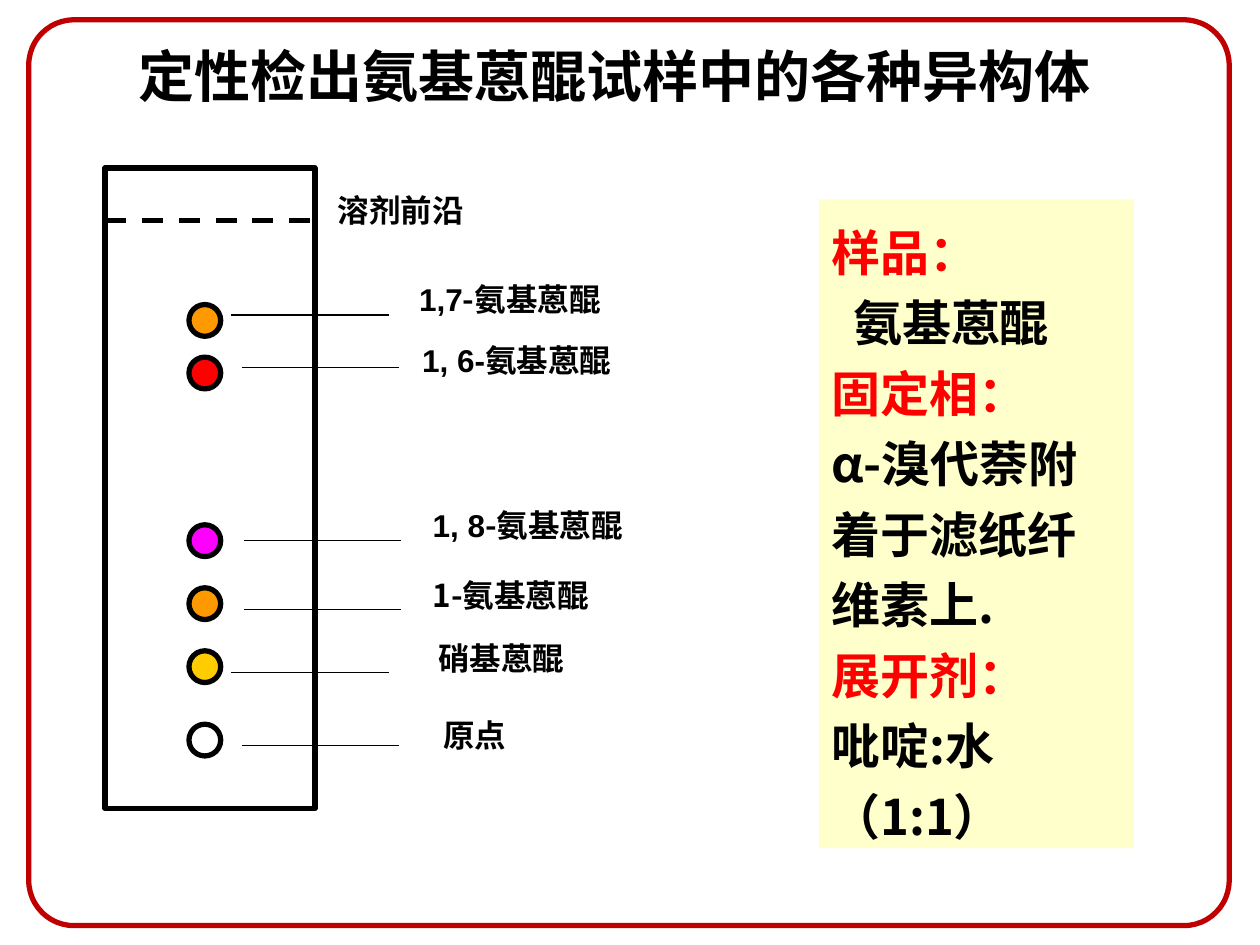
from pptx import Presentation
from pptx.dml.color import RGBColor
from pptx.enum.dml import MSO_LINE
from pptx.enum.shapes import MSO_CONNECTOR, MSO_SHAPE
from pptx.enum.text import MSO_ANCHOR, MSO_AUTO_SIZE, PP_ALIGN
from pptx.oxml.ns import qn
from pptx.util import Cm, Pt
from lxml import etree

RECT, OVAL, ROUND = MSO_SHAPE.RECTANGLE, MSO_SHAPE.OVAL, MSO_SHAPE.ROUNDED_RECTANGLE
STRAIGHT, DASH = MSO_CONNECTOR.STRAIGHT, MSO_LINE.DASH
TOP, LEFT, FIXED = MSO_ANCHOR.TOP, PP_ALIGN.LEFT, MSO_AUTO_SIZE.NONE

HEX = {"black": "000000", "white": "FFFFFF", "frame": "C00000", "red": "FF0000",
       "cream": "FFFFCC", "orange": "FF9900", "pink": "FF00FF", "gold": "FFCC00"}
LATIN, HAN = "Arial", "Noto Sans CJK SC"

SPOTS = [
    (6.14, "orange", 4.66, 6.35, 8.2, 5.61, [("1,7", LATIN), ("-氨基蒽醌", HAN)]),
    (7.2, "red", 4.87, 7.41, 8.26, 6.83, [("1, 6-", LATIN), ("氨基蒽醌", HAN)]),
    (10.58, "pink", 4.91, 10.9, 8.47, 10.16, [("1, 8", LATIN), ("-氨基蒽醌", HAN)]),
    (11.85, "orange", 4.91, 12.28, 8.47, 11.58, [("1-氨基蒽醌", HAN)]),
    (13.12, "gold", 4.66, 13.55, 8.59, 12.85, [("硝基蒽醌", HAN)]),
    (14.6, "white", 4.87, 15.03, 8.69, 14.4, [("原点", LATIN)]),
]
NOTES = [("样品：", "red", 0), ("氨基蒽醌", "black", 0.44), ("固定相：", "red", 0),
         ("α-溴代萘附着于滤纸纤维素上.", "black", 0), ("展开剂：", "red", 0),
         ("吡啶:水（1:1）", "black", 0)]


def color(name):
    return RGBColor.from_string(HEX[name])


def apply(item, values):
    for key, value in values.items():
        setattr(item, key, value)


def add_run(para, text, size, face, tint="black"):
    run = para.add_run()
    run.text = text
    apply(run.font, {"size": Pt(size), "bold": True, "name": face})
    run.font.color.rgb = color(tint)
    east = etree.SubElement(run.font._element, qn("a:ea"))
    east.set("typeface", HAN)


def set_frame(frame, top):
    apply(frame, {"word_wrap": True, "auto_size": FIXED, "vertical_anchor": TOP,
                  "margin_left": Cm(0.25), "margin_right": Cm(0.25),
                  "margin_top": Cm(top), "margin_bottom": Cm(0.13)})


def add_box(shapes, kind, at, fill=None, line=None):
    box = shapes.add_shape(kind, *map(Cm, at))
    box.shadow.inherit = False
    if fill:
        box.fill.solid()
        box.fill.fore_color.rgb = color(fill)
    else:
        box.fill.background()
    if line:
        box.line.color.rgb = color(line)
        box.line.width = Pt(3)
    else:
        box.line.fill.background()
    return box


def add_line(shapes, left, right, y, width, dash=None):
    line = shapes.add_connector(STRAIGHT, Cm(left), Cm(y), Cm(right), Cm(y))
    line.line.color.rgb = color("black")
    line.line.width = Pt(width)
    if dash:
        line.line.dash_style = dash
    etree.SubElement(line._element.spPr, qn("a:effectLst"))


def add_label(shapes, left, top, runs):
    box = shapes.add_textbox(Cm(left), Cm(top), Cm(5.6), Cm(1.27))
    set_frame(box.text_frame, 0.04)
    for text, face in runs:
        add_run(box.text_frame.paragraphs[0], text, 18, face)


def add_title(slide):
    title = slide.shapes.title
    apply(title, {"left": Cm(2.54), "top": Cm(0.84), "width": Cm(19.86), "height": Cm(1.6)})
    set_frame(title.text_frame, 0)
    para = title.text_frame.paragraphs[0]
    para.alignment = LEFT
    add_run(para, "定性检出氨基蒽醌试样中的各种异构体", 32, LATIN)


def add_notes(shapes):
    frame = add_box(shapes, RECT, (16.51, 4.02, 6.35, 13.08), "cream").text_frame
    set_frame(frame, 0.23)
    for i, (text, tint, indent) in enumerate(NOTES):
        para = frame.add_paragraph() if i else frame.paragraphs[0]
        apply(para, {"alignment": LEFT, "line_spacing": Pt(40.3)})
        if indent:
            para._p.get_or_add_pPr().set("marL", str(Cm(indent)))
        add_run(para, text, 28, HAN, tint)


def add_plate(shapes):
    add_box(shapes, RECT, (2.12, 3.39, 4.23, 12.91), line="black")
    add_line(shapes, 2.12, 6.35, 4.45, 3, DASH)
    add_label(shapes, 6.56, 3.81, [("溶剂前沿", HAN)])
    for top, fill, start, y, left, above, runs in SPOTS:
        add_box(shapes, OVAL, (3.81, top, 0.64, 0.64), fill, "black")
        add_line(shapes, start, start + 3.18, y, 0.75)
        add_label(shapes, left, above, runs)


def main():
    deck = Presentation()
    apply(deck, {"slide_width": Cm(25.4), "slide_height": Cm(19.05)})
    slide = deck.slides.add_slide(deck.slide_layouts[5])
    border = add_box(slide.shapes, ROUND, (0.58, 0.4, 24.2, 18.26), line="frame")
    border.adjustments[0] = 0.05
    add_title(slide)
    add_notes(slide.shapes)
    add_plate(slide.shapes.add_group_shape().shapes)
    deck.save("out.pptx")


if __name__ == "__main__":
    main()
